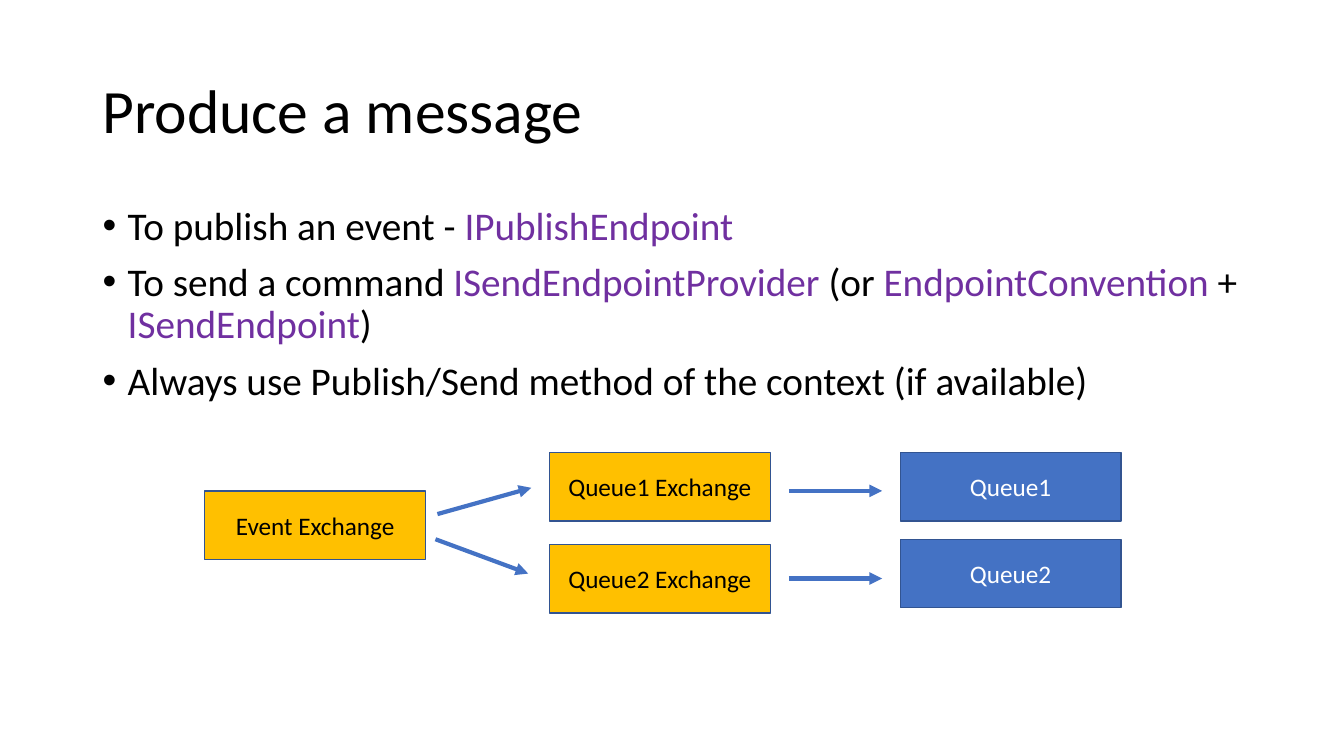
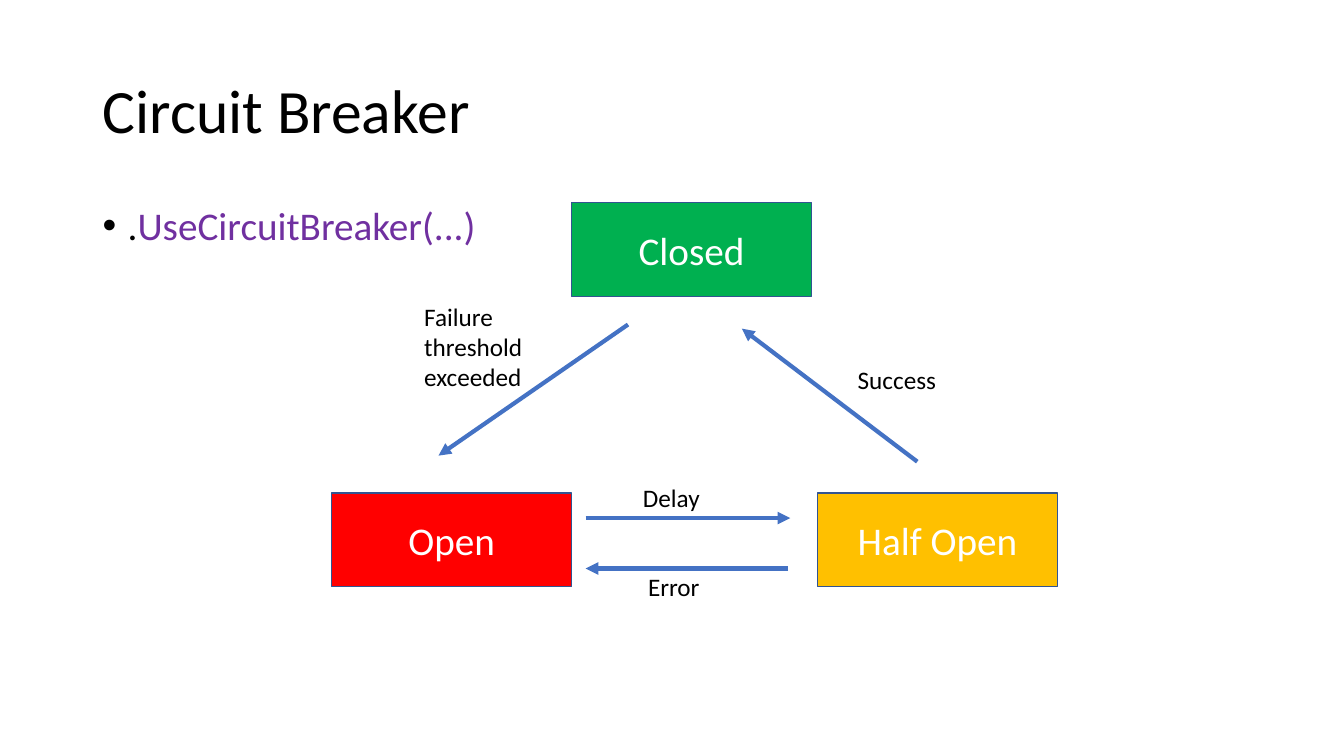
from lxml.etree import SubElement
from pptx import Presentation
from pptx.dml.color import RGBColor
from pptx.enum.shapes import MSO_CONNECTOR, MSO_SHAPE
from pptx.enum.text import MSO_ANCHOR, MSO_AUTO_SIZE, PP_ALIGN
from pptx.oxml.ns import qn
from pptx.util import Inches, Pt

# Shared style
BLACK, WHITE, PURPLE = "000000", "FFFFFF", "7030A0"
AMBER, BLUE, GREEN, RED, EDGE = "FFC000", "4472C4", "00B050", "FF0000", "325491"
FONT = "Calibri"
TITLE_AREA = (6.88, 5.32, 86.25, 19.33)
BODY_AREA = (6.88, 26.62, 86.25, 63.45)


def rgb(value):
    return RGBColor.from_string(value)


def assign(target, values):
    for name, value in values.items():
        setattr(target, name, value)


class Deck:
    """Places elements on the current slide; lengths are percent of its size."""

    def __init__(self):
        self.prs = Presentation()
        assign(self.prs, {"slide_width": Inches(13.33), "slide_height": Inches(7.5)})
        self.slide = None

    def x(self, share):
        return round(self.prs.slide_width * share / 100)

    def y(self, share):
        return round(self.prs.slide_height * share / 100)

    def area(self, left, top, width, height):
        return self.x(left), self.y(top), self.x(width), self.y(height)

    def add_runs(self, p, runs, size):
        for text, color in runs:
            r = p.add_run()
            r.text = text
            assign(r.font, {"name": FONT, "size": Pt(size)})
            r.font.color.rgb = rgb(color)

    def placeholder(self, sp, area, anchor):
        names = ("left", "top", "width", "height")
        assign(sp, dict(zip(names, self.area(*area))))
        tf = sp.text_frame
        assign(tf, {"word_wrap": True, "auto_size": MSO_AUTO_SIZE.NONE,
                    "vertical_anchor": anchor})
        return tf

    # Title and list
    def add_slide(self, title, bullets):
        self.slide = self.prs.slides.add_slide(self.prs.slide_layouts[1])
        heading, body = self.slide.placeholders
        tf = self.placeholder(heading, TITLE_AREA, MSO_ANCHOR.MIDDLE)
        p = tf.paragraphs[0]
        assign(p, {"alignment": PP_ALIGN.LEFT, "line_spacing": 0.9})
        self.add_runs(p, [(title, BLACK)], 44)

        tf = self.placeholder(body, BODY_AREA, MSO_ANCHOR.TOP)
        for i, runs in enumerate(bullets):
            p = tf.add_paragraph() if i else tf.paragraphs[0]
            assign(p, {"line_spacing": 0.9, "space_before": Pt(10)})
            pPr = p._p.get_or_add_pPr()
            pPr.set("marL", str(Inches(0.25)))
            pPr.set("indent", str(Inches(-0.25)))
            SubElement(pPr, qn("a:buFont")).set("typeface", "Arial")
            SubElement(pPr, qn("a:buChar")).set("char", "•")
            self.add_runs(p, runs, 28)

    # Filled box with centred text
    def box(self, text, left, top, size, fill, color=WHITE, points=18):
        sp = self.slide.shapes.add_shape(
            MSO_SHAPE.RECTANGLE, *self.area(left, top, *size))
        sp.shadow.inherit = False
        sp.fill.solid()
        sp.fill.fore_color.rgb = rgb(fill)
        sp.line.color.rgb = rgb(EDGE)
        sp.line.width = Pt(1)
        tf = sp.text_frame
        assign(tf, {"word_wrap": True, "vertical_anchor": MSO_ANCHOR.MIDDLE})
        p = tf.paragraphs[0]
        p.alignment = PP_ALIGN.CENTER
        self.add_runs(p, [(text, color)], points)

    # Arrow pointing at its end
    def arrow(self, x1, y1, x2, y2):
        sp = self.slide.shapes.add_connector(
            MSO_CONNECTOR.STRAIGHT, self.x(x1), self.y(y1), self.x(x2), self.y(y2))
        sp.line.color.rgb = rgb(BLUE)
        sp.line.width = Pt(3)
        spPr = sp._element.spPr
        SubElement(spPr.find(qn("a:ln")), qn("a:tailEnd")).set("type", "triangle")
        SubElement(spPr, qn("a:effectLst"))

    # Plain label, one line of text per item
    def label(self, lines, left, top, width, height=5.33):
        sp = self.slide.shapes.add_textbox(*self.area(left, top, width, height))
        tf = sp.text_frame
        assign(tf, {"word_wrap": False, "auto_size": MSO_AUTO_SIZE.SHAPE_TO_FIT_TEXT})
        p = tf.paragraphs[0]
        for i, text in enumerate(lines):
            if i:
                p.add_line_break()
            self.add_runs(p, [(text, BLACK)], 18)


deck = Deck()

# Slide 1: exchanges feeding queues
deck.add_slide("Produce a message", [
    [("To publish an event - ", BLACK), ("IPublishEndpoint", PURPLE)],
    [("To send a command ", BLACK), ("ISendEndpointProvider", PURPLE),
     (" (or ", BLACK), ("EndpointConvention", PURPLE), (" + ", BLACK),
     ("ISendEndpoint", PURPLE), (")", BLACK)],
    [("Always use Publish/Send method of the context (if available)", BLACK)],
])
NODE = (16.43, 9.07)
deck.box("Event Exchange", 15.23, 64.93, NODE, AMBER, BLACK)
for name, exchange_top, queue_top, arrow_y in [
        ("Queue1", 59.87, 59.87, 64.93), ("Queue2", 72, 71.33, 76.53)]:
    deck.box(f"{name} Exchange", 40.88, exchange_top, NODE, AMBER, BLACK)
    deck.box(name, 66.98, queue_top, NODE, BLUE)
    deck.arrow(58.7, arrow_y, 65.63, arrow_y)
deck.arrow(32.55, 68, 39.53, 64.53)
deck.arrow(32.4, 71.33, 39.3, 75.87)

# Slide 2: breaker states and transitions
deck.add_slide("Circuit Breaker", [[(".", BLACK), ("UseCircuitBreaker(...)", PURPLE)]])
STATE = (17.85, 12.4)
for name, left, top, fill in [
        ("Closed", 42.53, 26.8, GREEN), ("Open", 24.68, 65.2, RED),
        ("Half Open", 60.83, 65.2, AMBER)]:
    deck.box(name, left, top, STATE, fill, points=28)
for ends in [(46.73, 42.93, 32.63, 60.27), (68.25, 61.07, 55.2, 43.47),
             (58.65, 75.2, 43.58, 75.2), (43.58, 68.53, 58.8, 68.53)]:
    deck.arrow(*ends)
deck.label(["Delay"], 47.1, 63.2, 5.78)
deck.label(["Error"], 47.48, 74.93, 5.4)
deck.label(["Failure", "threshold", "exceeded"], 30.83, 39.2, 8.8, 13.47)
deck.label(["Success"], 63.08, 47.47, 7.43)

deck.prs.save("out.pptx")
